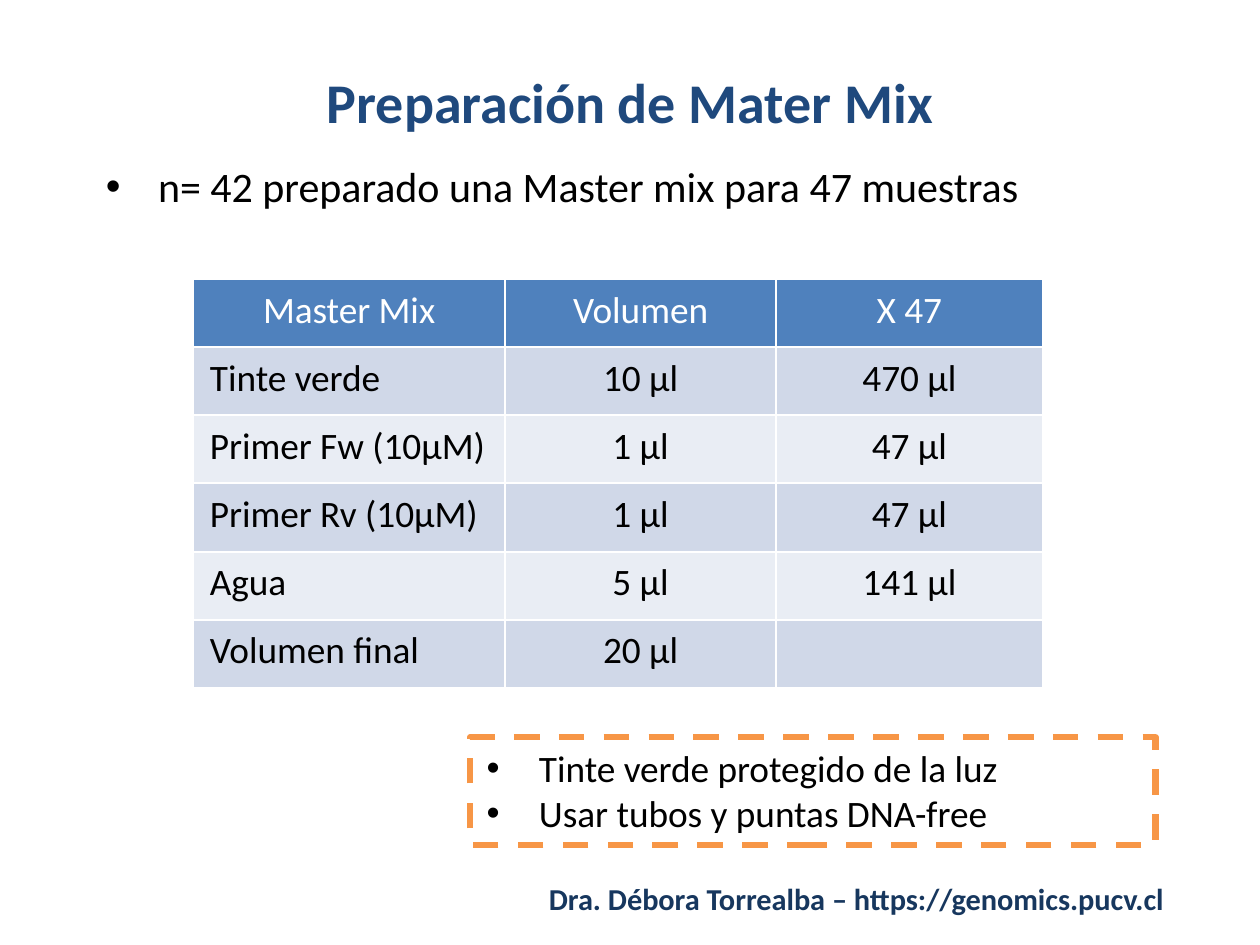
from lxml.etree import SubElement
from pptx import Presentation
from pptx.dml.color import RGBColor
from pptx.enum.dml import MSO_LINE
from pptx.enum.shapes import MSO_SHAPE
from pptx.enum.text import MSO_ANCHOR, PP_ALIGN
from pptx.oxml import parse_xml
from pptx.oxml.ns import nsdecls, qn
from pptx.util import Cm, Pt

FONT = "Calibri"
COLORS = {
    "title": "1F497D", "footer": "17375E", "text": "000000", "white": "FFFFFF",
    "header": "4F81BD", "odd_row": "D0D8E8", "even_row": "E9EDF4", "notice": "F79646",
}
COLUMN_WIDTHS = (4.72, 4.09, 4.04)
ROW_HEIGHT = 1.03
MIX_ROWS = (
    ("Master Mix", "Volumen", "X 47"),
    ("Tinte verde", "10 µl", "470 µl"),
    ("Primer Fw (10µM)", "1 µl", "47 µl"),
    ("Primer Rv (10µM)", "1 µl", "47 µl"),
    ("Agua", "5 µl", "141 µl"),
    ("Volumen final", "20 µl", ""),
)


def color(name):
    return RGBColor.from_string(COLORS[name])


def style(para, size, color_name, bold=False, align=PP_ALIGN.LEFT):
    para.alignment = align
    para.font.name = FONT
    para.font.size = Pt(size)
    para.font.bold = bold
    para.font.color.rgb = color(color_name)


def add_bullet(para):
    properties = para._p.get_or_add_pPr()
    properties.set("marL", str(Cm(0.79)))
    properties.set("indent", str(-Cm(0.79)))
    SubElement(properties, qn("a:buFont"), typeface="Arial")
    SubElement(properties, qn("a:buChar"), char="•")


def add_bullets(frame, lines, size):
    frame.word_wrap = True
    frame.vertical_anchor = MSO_ANCHOR.TOP
    for index, line in enumerate(lines):
        para = frame.add_paragraph() if index else frame.paragraphs[0]
        para.text = line
        add_bullet(para)
        style(para, size, "text")


def add_line(page, box, text, size, color_name, align, anchor):
    frame = page.shapes.add_textbox(*map(Cm, box)).text_frame
    frame.word_wrap = True
    frame.vertical_anchor = anchor
    para = frame.paragraphs[0]
    para.text = text
    style(para, size, color_name, True, align)


def add_summary(page, box, text):
    frame = page.shapes.add_textbox(*map(Cm, box)).text_frame
    add_bullets(frame, [text], 18)


def add_borders(cell):
    properties = cell._tc.get_or_add_tcPr()
    for index, side in enumerate(("lnL", "lnR", "lnT", "lnB")):
        border = parse_xml(
            f'<a:{side} {nsdecls("a")} w="{Pt(1)}"><a:solidFill>'
            f'<a:srgbClr val="{COLORS["white"]}"/></a:solidFill></a:{side}>'
        )
        properties.insert(index, border)


def add_mix_table(page, left, top):
    width, height = sum(COLUMN_WIDTHS), ROW_HEIGHT * len(MIX_ROWS)
    table = page.shapes.add_table(
        len(MIX_ROWS), len(COLUMN_WIDTHS), Cm(left), Cm(top), Cm(width), Cm(height)
    ).table
    for column, column_width in zip(table.columns, COLUMN_WIDTHS):
        column.width = Cm(column_width)
    for row_index, values in enumerate(MIX_ROWS):
        table.rows[row_index].height = Cm(ROW_HEIGHT)
        is_header = row_index == 0
        fill = "header" if is_header else "odd_row" if row_index % 2 else "even_row"
        for column_index, value in enumerate(values):
            cell = table.cell(row_index, column_index)
            cell.fill.solid()
            cell.fill.fore_color.rgb = color(fill)
            add_borders(cell)
            para = cell.text_frame.paragraphs[0]
            para.text = value
            centered = is_header or column_index > 0
            style(para, 16, "white" if is_header else "text",
                  align=PP_ALIGN.CENTER if centered else PP_ALIGN.LEFT)


def add_notice(page, box, lines):
    notice = page.shapes.add_shape(MSO_SHAPE.RECTANGLE, *map(Cm, box))
    notice.shadow.inherit = False
    notice.fill.background()
    notice.line.color.rgb = color("notice")
    notice.line.width = Pt(2.75)
    notice.line.dash_style = MSO_LINE.DASH
    add_bullets(notice.text_frame, lines, 16)


def main():
    deck = Presentation()
    deck.slide_width, deck.slide_height = Cm(19.05), Cm(14.29)
    page = deck.slides.add_slide(deck.slide_layouts[6])
    add_line(page, (8.05, 13.18, 10.9, 0.81),
             "Dra. Débora Torrealba – https://genomics.pucv.cl",
             13, "footer", PP_ALIGN.LEFT, MSO_ANCHOR.TOP)
    add_line(page, (3.1, 0.61, 12.85, 1.85), "Preparación de Mater Mix",
             24, "title", PP_ALIGN.CENTER, MSO_ANCHOR.MIDDLE)
    add_summary(page, (1.35, 2.31, 15.75, 1.8),
                "n= 42 preparado una Master mix para 47 muestras")
    add_mix_table(page, 2.92, 4.22)
    add_notice(page, (7.11, 11.15, 10.36, 1.63),
               ["Tinte verde protegido de la luz", "Usar tubos y puntas DNA-free"])
    deck.save("out.pptx")


if __name__ == "__main__":
    main()
